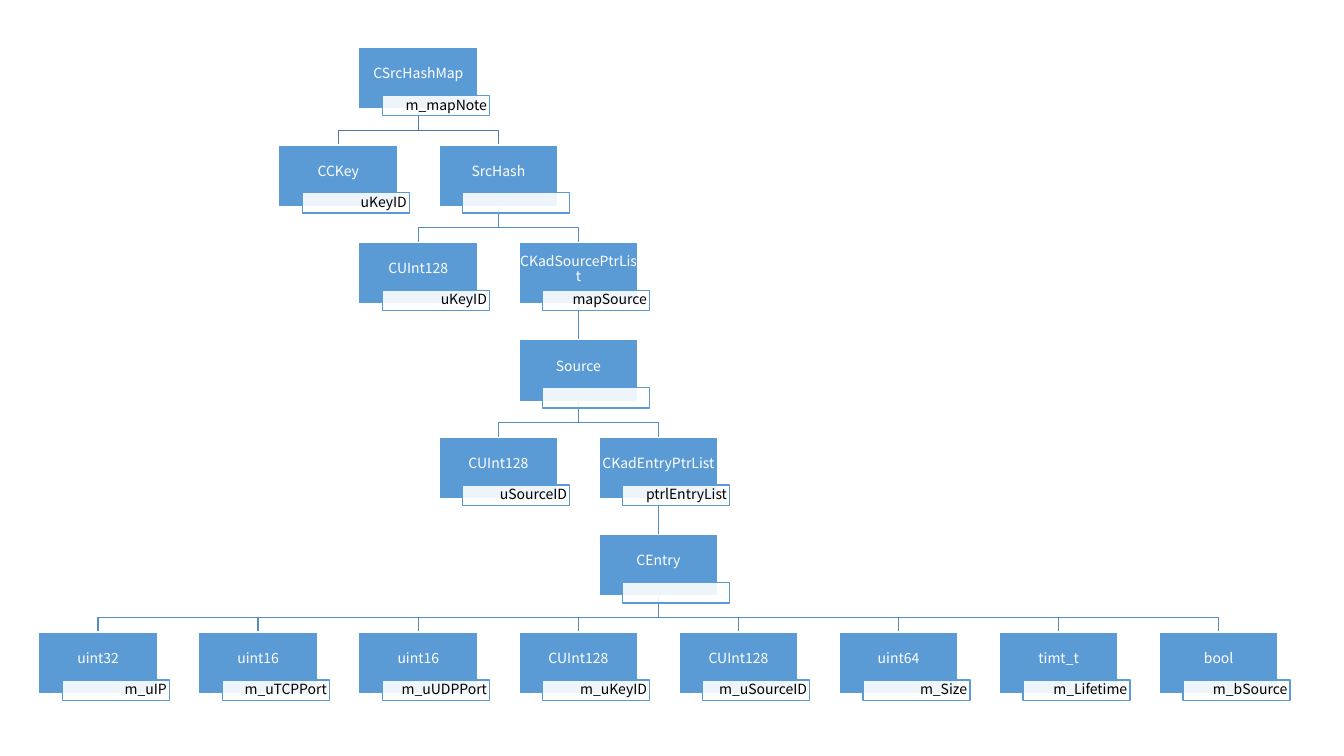
"""Builds a slide with the class tree of a source hash map."""
from lxml import etree
from pptx import Presentation
from pptx.dml.color import RGBColor
from pptx.enum import shapes, text
from pptx.oxml import ns
from pptx.util import Pt

COLORS = {"box": "5B9BD5", "white": "FFFFFF", "black": "000000",
          "top link": "497CAB", "link": "538DC1"}
FONT = "Noto Sans CJK SC"

# Each level: first column in half steps, then (type, member) nodes.
# The last node of a level is the parent of the whole next level.
LEVELS = [
    (4, [("CSrcHashMap", "m_mapNote")]),
    (3, [("CCKey", "uKeyID"), ("SrcHash", "")]),
    (4, [("CUInt128", "uKeyID"), ("CKadSourcePtrList", "mapSource")]),
    (6, [("Source", "")]),
    (5, [("CUInt128", "uSourceID"), ("CKadEntryPtrList", "ptrlEntryList")]),
    (7, [("CEntry", "")]),
    (0, [("uint32", "m_uIP"), ("uint16", "m_uTCPPort"),
         ("uint16", "m_uUDPPort"), ("CUInt128", "m_uKeyID"),
         ("CUInt128", "m_uSourceID"), ("uint64", "m_Size"),
         ("timt_t", "m_Lifetime"), ("bool", "m_bSource")]),
]

LEFT, TOP = 27.6, 33.9
HALF_STEP, ROW_STEP = 57.17, 69.6
BOX_W, BOX_H = 85, 43.9
TAG_DX, TAG_DY, TAG_W, TAG_H = 17, 34.2, 76.5, 14.6
BEND = 15.3


def color(name):
    return RGBColor.from_string(COLORS[name])


def box_left(level, index):
    return LEFT + (LEVELS[level][0] + 2 * index) * HALF_STEP


def box_top(level):
    return TOP + level * ROW_STEP


def add_link(page, level, index):
    parent = len(LEVELS[level - 1][1]) - 1
    start_x = box_left(level - 1, parent) + BOX_W / 2
    start_y = box_top(level - 1) + BOX_H
    end_x = box_left(level, index) + BOX_W / 2
    end_y = box_top(level)
    if abs(start_x - end_x) < 1:
        link = page.shapes.add_connector(
            shapes.MSO_CONNECTOR.STRAIGHT,
            Pt(start_x), Pt(start_y), Pt(end_x), Pt(end_y))
        etree.SubElement(link._element.spPr, ns.qn("a:effectLst"))
    else:
        bend_y = start_y + BEND
        outline = page.shapes.build_freeform(Pt(start_x), Pt(start_y))
        outline.add_line_segments(
            [(Pt(x), Pt(y)) for x, y in
             ((start_x, bend_y), (end_x, bend_y), (end_x, end_y))],
            close=False)
        link = outline.convert_to_shape()
        link.shadow.inherit = False
        link.fill.background()
    link.line.color.rgb = color("top link" if level == 1 else "link")
    link.line.width = Pt(1)


def add_box(page, bounds, wording, fill, line, ink, align, insets):
    box = page.shapes.add_shape(shapes.MSO_SHAPE.RECTANGLE,
                                *[Pt(value) for value in bounds])
    box.shadow.inherit = False
    box.fill.solid()
    box.fill.fore_color.rgb = color(fill)
    box.line.color.rgb = color(line)
    box.line.width = Pt(1)
    if wording:
        frame = box.text_frame
        frame.word_wrap = True
        frame.vertical_anchor = text.MSO_ANCHOR.MIDDLE
        (frame.margin_left, frame.margin_top,
         frame.margin_right, frame.margin_bottom) = [Pt(i) for i in insets]
        frame.text = wording
        para = frame.paragraphs[0]
        para.alignment = align
        para.line_spacing = 0.9
        span = para.runs[0]
        span.font.name = FONT
        span.font.size = Pt(10)
        span.font.color.rgb = color(ink)
    return box


def add_node(page, level, index, kind, member):
    left, top = box_left(level, index), box_top(level)
    add_box(page, (left, top, BOX_W, BOX_H), kind, "box", "white", "white",
            text.PP_ALIGN.CENTER, (0.5, 0.5, 0.5, 6.2))
    tag = add_box(page, (left + TAG_DX, top + TAG_DY, TAG_W, TAG_H), member,
                  "white", "box", "black",
                  text.PP_ALIGN.RIGHT, (2, 0.5, 2, 0.5))
    tint = tag._element.spPr.find(ns.qn("a:solidFill"))[0]
    etree.SubElement(tint, ns.qn("a:alpha"), val="90000")


deck = Presentation()
deck.slide_width, deck.slide_height = Pt(960), Pt(540)
page = deck.slides.add_slide(deck.slide_layouts[6])

for level in range(1, len(LEVELS)):
    for index in range(len(LEVELS[level][1])):
        add_link(page, level, index)

for level, (_, nodes) in enumerate(LEVELS):
    for index, (kind, member) in enumerate(nodes):
        add_node(page, level, index, kind, member)

deck.save("out.pptx")
